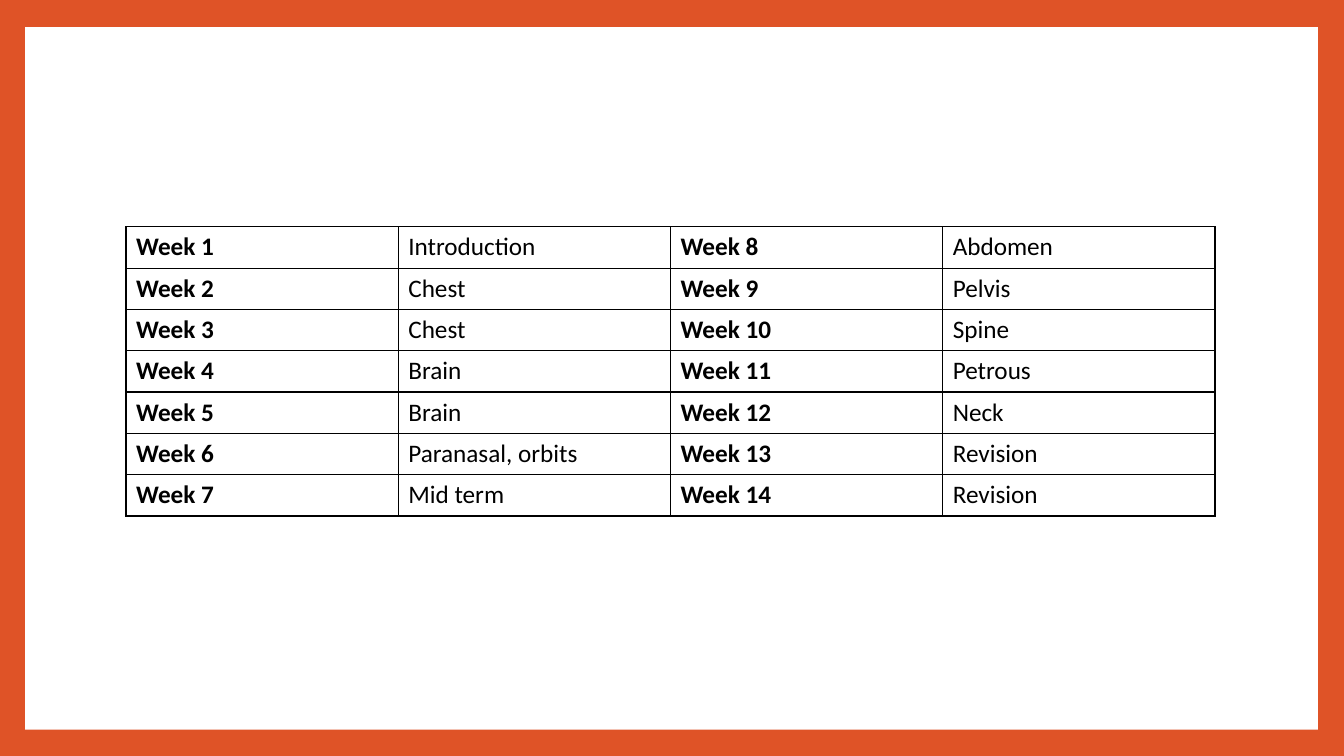
from lxml.etree import SubElement
from pptx import Presentation
from pptx.dml.color import RGBColor as RGB
from pptx.enum.shapes import MSO_SHAPE as Preset
from pptx.oxml.ns import qn
from pptx.util import Inches, Pt

COLORS = {"frame": "DF5327", "panel": "FFFFFF", "ink": "000000"}
TOPICS = [
    "Introduction", "Chest", "Chest", "Brain", "Brain", "Paranasal, orbits", "Mid term",
    "Abdomen", "Pelvis", "Spine", "Petrous", "Neck", "Revision", "Revision",
]
ROWS, COLUMNS = 7, 4
COLUMN_WIDTH, ROW_HEIGHT = Inches(2.7), Inches(0.41)


def add_borders(cell):
    properties = cell._tc.get_or_add_tcPr()
    for side in ("lnL", "lnR", "lnT", "lnB"):
        line = SubElement(properties, qn(f"a:{side}"), w=str(Pt(1)))
        fill = SubElement(line, qn("a:solidFill"))
        SubElement(fill, qn("a:srgbClr"), val=COLORS["ink"])


presentation = Presentation()
presentation.slide_width, presentation.slide_height = Inches(13.33), Inches(7.5)
slide = presentation.slides.add_slide(presentation.slide_layouts[6])
slide.background.fill.solid()
slide.background.fill.fore_color.rgb = RGB.from_string(COLORS["frame"])

panel = slide.shapes.add_shape(
    Preset.RECTANGLE, Inches(0.25), Inches(0.27), Inches(12.82), Inches(6.97))
panel.shadow.inherit = False
panel.fill.solid()
panel.fill.fore_color.rgb = RGB.from_string(COLORS["panel"])
panel.line.fill.background()

schedule = slide.shapes.add_table(
    ROWS, COLUMNS, Inches(1.25), Inches(2.25),
    COLUMNS * COLUMN_WIDTH, ROWS * ROW_HEIGHT).table
schedule.first_row = schedule.horz_banding = False
for row in schedule.rows:
    row.height = ROW_HEIGHT

# Weeks run down the first pair of columns, then down the second pair.
for index, topic in enumerate(TOPICS):
    pair, row = divmod(index, ROWS)
    for offset, text in enumerate((f"Week {index + 1}", topic)):
        cell = schedule.cell(row, 2 * pair + offset)
        add_borders(cell)
        cell.fill.background()
        cell.text = text
        font = cell.text_frame.paragraphs[0].font
        font.name, font.size, font.bold = "Calibri", Pt(18), offset == 0
        font.color.rgb = RGB.from_string(COLORS["ink"])

presentation.save("out.pptx")
